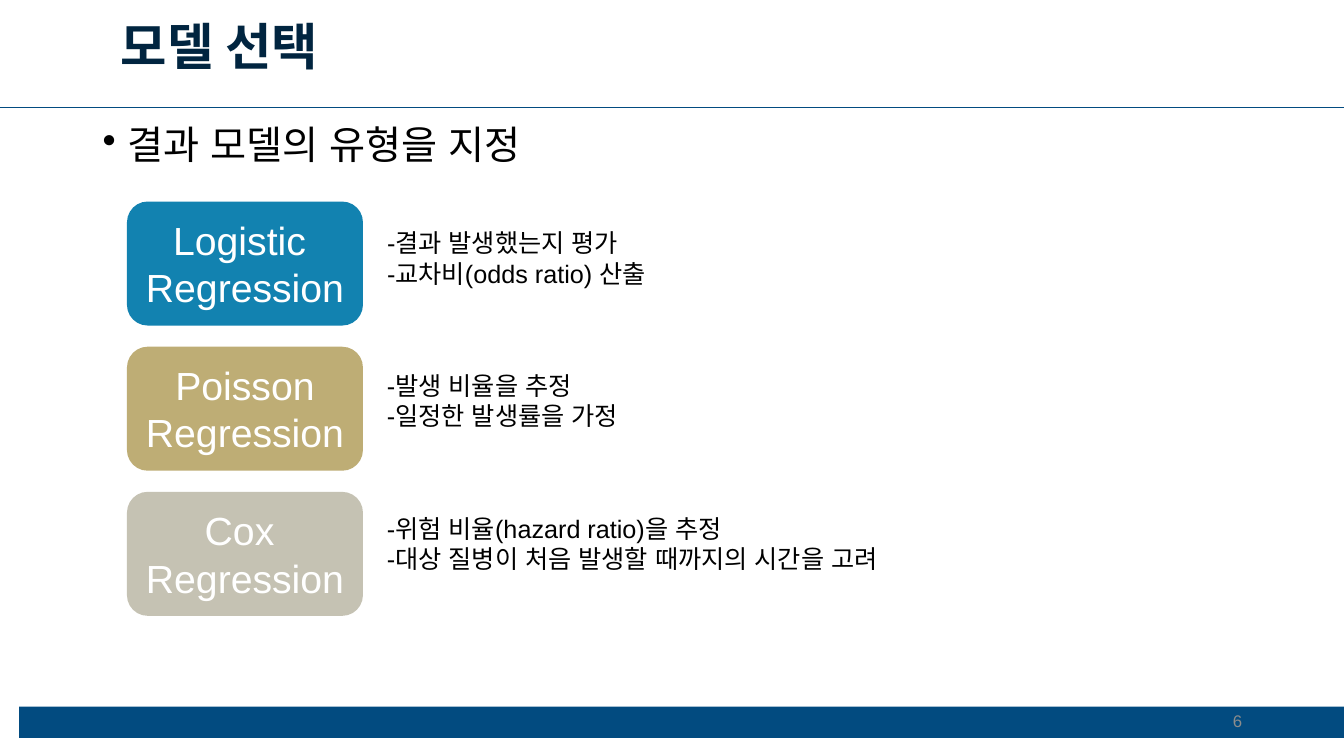
from dataclasses import dataclass

import pptx
import pptx.dml.color
import pptx.enum.shapes
import pptx.enum.text
import pptx.oxml
import pptx.oxml.ns
import pptx.oxml.xmlchemy
import pptx.util

EMU_PER_PX = 9144  # 100 px to the inch
ALIGN = pptx.enum.text.PP_ALIGN
ANCHOR = pptx.enum.text.MSO_ANCHOR
AUTO_SIZE = pptx.enum.text.MSO_AUTO_SIZE
SHAPES = pptx.enum.shapes.MSO_SHAPE
NAVY, BLACK, WHITE = "024B80", "000000", "FFFFFF"
FIRST_MODEL_TOP, MODEL_PITCH = 200, 144


@dataclass
class Model:
    label: str
    fill: str
    description: str
    description_top: int
    description_width: int


MODELS = [
    Model("Logistic \nRegression", "1282B0",
          "-결과 발생했는지 평가\n-교차비(odds ratio) 산출", 221, 289),
    Model("Poisson\nRegression", "BEAD75",
          "-발생 비율을 추정\n-일정한 발생률을 가정", 362, 270),
    Model("Cox \nRegression", "C5C2B3",
          "-위험 비율(hazard ratio)을 추정\n-대상 질병이 처음 발생할 때까지의 시간을 고려", 504, 550),
]


def px(length: int) -> pptx.util.Emu:
    return pptx.util.Emu(length * EMU_PER_PX)


def color(value: str) -> pptx.dml.color.RGBColor:
    return pptx.dml.color.RGBColor.from_string(value)


def write(shape, text: str, *, size: int, ink: str = BLACK, font: str = "Arial",
          bold: bool = False, align=ALIGN.LEFT, anchor=ANCHOR.TOP,
          wrap: bool = True, auto_size=AUTO_SIZE.NONE, line_spacing: float = 1.0) -> None:
    frame = shape.text_frame
    frame.text = text
    frame.word_wrap = wrap
    frame.auto_size = auto_size
    frame.vertical_anchor = anchor
    for paragraph in frame.paragraphs:
        paragraph.alignment = align
        paragraph.line_spacing = line_spacing
        for run in paragraph.runs:
            run.font.size = pptx.util.Pt(size)
            run.font.bold = bold
            run.font.name = font
            run.font.color.rgb = color(ink)
            # Korean letters take the East Asian typeface
            east_asian = pptx.oxml.xmlchemy.OxmlElement("a:ea")
            east_asian.set("typeface", font)
            latin = run._r.get_or_add_rPr().find(pptx.oxml.ns.qn("a:latin"))
            latin.addnext(east_asian)


def add_text(slide, box: tuple[int, int, int, int], text: str, **text_format):
    shape = slide.shapes.add_textbox(*map(px, box))
    write(shape, text, **text_format)
    return shape


def add_block(slide, kind, box: tuple[int, int, int, int], fill: str):
    shape = slide.shapes.add_shape(kind, *map(px, box))
    shape.shadow.inherit = False
    shape.fill.solid()
    shape.fill.fore_color.rgb = color(fill)
    shape.line.fill.background()
    return shape


def add_rule(slide, top: int, width: int) -> None:
    rule = slide.shapes.add_connector(
        pptx.enum.shapes.MSO_CONNECTOR.STRAIGHT, 0, px(top), px(width), px(top))
    rule.line.color.rgb = color(NAVY)
    rule.line.width = pptx.util.Pt(0.5)
    rule._element.spPr.append(pptx.oxml.xmlchemy.OxmlElement("a:effectLst"))


def add_bullet(paragraph, indent: int) -> None:
    properties = paragraph._p.get_or_add_pPr()
    properties.set("marL", str(px(indent)))
    properties.set("indent", str(px(-indent)))
    bullet = pptx.oxml.xmlchemy.OxmlElement("a:buChar")
    bullet.set("char", "•")
    properties.append(bullet)


def add_model(slide, model: Model, top: int) -> None:
    block = add_block(slide, SHAPES.FLOWCHART_ALTERNATE_PROCESS,
                      (126, top, 234, 123), model.fill)
    write(block, model.label, size=28, ink=WHITE, align=ALIGN.CENTER, anchor=ANCHOR.MIDDLE)
    add_text(slide, (374, model.description_top, model.description_width, 71),
             model.description, size=18, wrap=False,
             auto_size=AUTO_SIZE.SHAPE_TO_FIT_TEXT)


def main() -> None:
    presentation = pptx.Presentation()
    presentation.slide_width, presentation.slide_height = px(1333), px(750)
    slide = presentation.slides.add_slide(presentation.slide_layouts[5])

    # Footer bar and header rule
    add_block(slide, SHAPES.RECTANGLE, (19, 701, 1314, 31), NAVY)
    add_rule(slide, 107, 1333)

    # Title
    title = slide.shapes.title
    title.left, title.top, title.width, title.height = map(px, (110, 19, 818, 71))
    write(title, "모델 선택", size=36, ink="012540", font="Noto Sans CJK KR", bold=True,
          auto_size=AUTO_SIZE.SHAPE_TO_FIT_TEXT, line_spacing=0.85)

    # Lead statement
    lead = add_text(slide, (92, 120, 1196, 60), "결과 모델의 유형을 지정",
                    size=28, line_spacing=0.9)
    lead_paragraph = lead.text_frame.paragraphs[0]
    lead_paragraph.space_before = pptx.util.Pt(10)
    add_bullet(lead_paragraph, 25)

    # Models with their descriptions
    for index, model in enumerate(MODELS):
        add_model(slide, model, FIRST_MODEL_TOP + index * MODEL_PITCH)

    # Slide number
    add_text(slide, (942, 695, 300, 40), "6", size=12, ink="8C8C8C",
             align=ALIGN.RIGHT, anchor=ANCHOR.MIDDLE)

    presentation.save("out.pptx")


if __name__ == "__main__":
    main()
